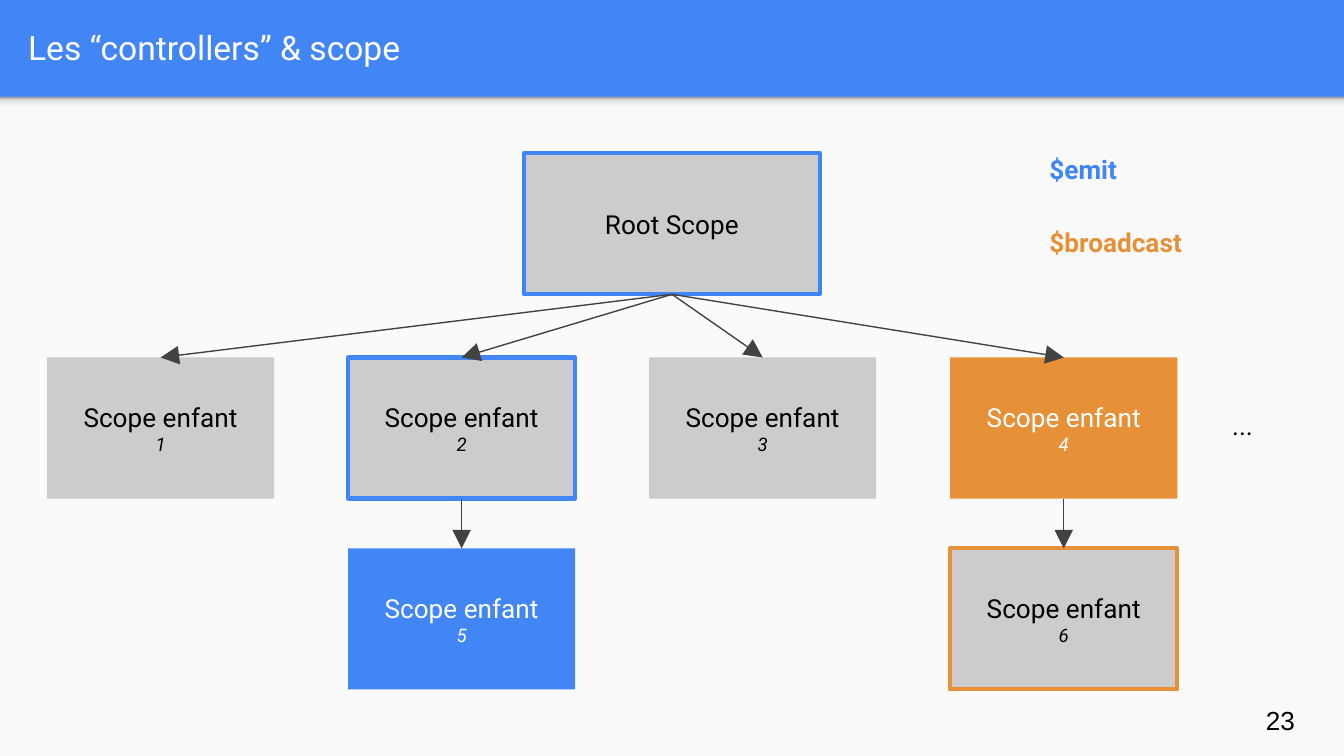
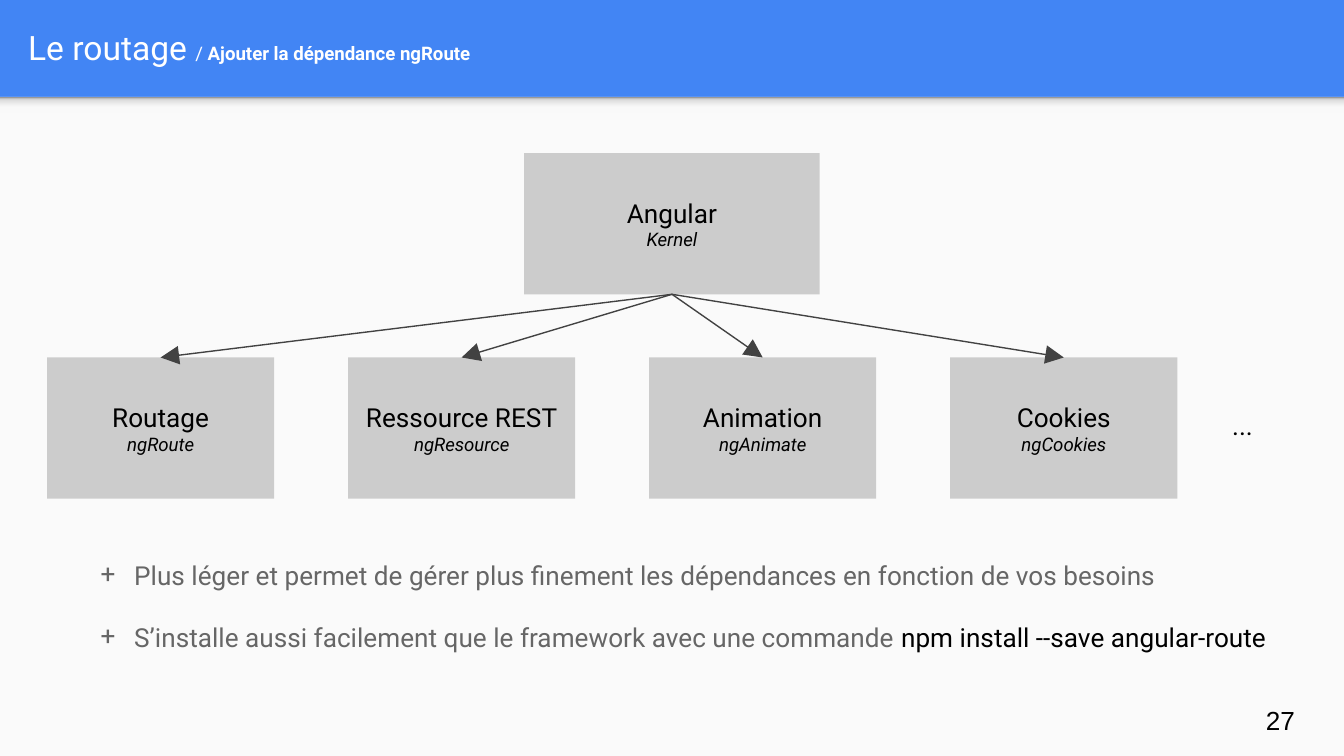
from collections import namedtuple
from copy import deepcopy
from dataclasses import dataclass

from lxml.etree import SubElement
from pptx import Presentation
from pptx.dml.color import RGBColor
from pptx.enum.shapes import MSO_CONNECTOR, MSO_SHAPE
from pptx.enum.text import MSO_ANCHOR, PP_ALIGN
from pptx.oxml.ns import qn
from pptx.util import Inches, Pt


@dataclass(frozen=True)
class Theme:
    blue: str = "4285F4"
    orange: str = "E69138"
    grey: str = "CCCCCC"
    paper: str = "FAFAFA"
    white: str = "FFFFFF"
    black: str = "000000"
    arrow: str = "424242"
    body: str = "666666"
    shade: tuple = ((0, "F9F9F9"), (0.36, "F9F9F9"), (0.8, "DEDEDE"), (1, "999999"))
    font: str = "Roboto"
    plain: str = "Arial"
    head: int = 18
    text: int = 14
    small: int = 10


T = Theme()
Box = namedtuple("Box", "x y w h")
Node = namedtuple("Node", "name note fill edge ink", defaults=("", T.grey, None, T.black))

# Slide regions, on a 16:9 page
WIDE = 10
HIGH = WIDE * 9 / 16
BAND = 0.72
PANEL = Box(0, BAND, WIDE, HIGH - BAND)
SHADE = Box(0, BAND, WIDE, 0.12)
TITLE = Box(0.11, 0.02, 9.65, 0.66)
NUMBER = Box(9.32, 5.14, 0.6, 0.43)
TREE = Box(0.35, 1.14, 9.3, 4)
KEY = Box(7.71, 0.99, 2.12, 1.08)
NOTES = Box(0.4, 4.06, 9.52, 0.91)

# Tree grid, measured from the corner of its box
STEP = 2.24
ROWS = (0, 1.52, 2.94)
CELL_W, CELL_H, ROOT_W, ROOT_X = 1.69, 1.05, 2.2, 3.55


def rgb(code):
    return RGBColor.from_string(code)


def inch(box):
    return [Inches(v) for v in box]


def style(font, size=None, ink=None, face=None, bold=None, italic=None):
    if size:
        font.size = Pt(size)
    if ink:
        font.color.rgb = rgb(ink)
    if face:
        font.name = face
    if bold is not None:
        font.bold = bold
    if italic is not None:
        font.italic = italic


def setup(frame, anchor=MSO_ANCHOR.MIDDLE):
    frame.word_wrap = True
    frame.vertical_anchor = anchor
    frame.margin_left = frame.margin_right = Inches(0.1)
    frame.margin_top = frame.margin_bottom = Inches(0.1)


def write(para, text, align=PP_ALIGN.LEFT, **look):
    """Fill one paragraph and set its shared font."""
    para.alignment = align
    para.add_run().text = text
    style(para.font, **{"size": T.text, "ink": T.black, "face": T.font, **look})


def label(slide, box, text, **look):
    frame = slide.shapes.add_textbox(*inch(box)).text_frame
    setup(frame)
    write(frame.paragraphs[0], text, **look)


def block(slide, box, fill=None, edge=None):
    shape = slide.shapes.add_shape(MSO_SHAPE.RECTANGLE, *inch(box))
    shape.shadow.inherit = False
    if fill:
        shape.fill.solid()
        shape.fill.fore_color.rgb = rgb(fill)
    if edge:
        shape.line.color.rgb = rgb(edge)
        shape.line.width = Pt(2.25)
    else:
        shape.line.fill.background()
    return shape


def shade(slide, box):
    """Soft shadow under the title band, dark at its top."""
    shape = block(slide, box)
    fill = shape.fill
    fill.gradient()
    fill.gradient_angle = 90
    stops = shape.element.find(".//" + qn("a:gsLst"))
    while len(stops) < len(T.shade):
        stops.append(deepcopy(stops[0]))
    for stop, (place, code) in zip(fill.gradient_stops, T.shade):
        stop.position = place
        stop.color.rgb = rgb(code)


def page(deck, number, title, topic=None):
    """Title band, paper and page number shared by all slides."""
    slide = deck.slides.add_slide(deck.slide_layouts[5])
    block(slide, PANEL, T.paper)
    shade(slide, SHADE)
    label(slide, NUMBER, number, face=T.plain)

    head = slide.shapes.title
    head.left, head.top, head.width, head.height = inch(TITLE)
    setup(head.text_frame)
    para = head.text_frame.paragraphs[0]
    write(para, title, size=T.head, ink=T.white)
    if topic:
        for text, bold in (("/ ", False), (topic, True)):
            run = para.add_run()
            run.text = text
            style(run.font, size=T.small, bold=bold)
    return slide


def card(slide, box, node):
    shape = block(slide, box, node.fill, node.edge)
    frame = shape.text_frame
    setup(frame)
    write(frame.paragraphs[0], node.name, PP_ALIGN.CENTER, ink=node.ink)
    if node.note:
        write(frame.add_paragraph(), node.note, PP_ALIGN.CENTER,
              size=T.small, ink=node.ink, italic=True)
    return shape


def arrow(slide, top, low):
    """Arrow from the bottom of one card to the top of another."""
    line = slide.shapes.add_connector(MSO_CONNECTOR.STRAIGHT, 0, 0, 0, 0)
    line.begin_connect(top, 2)
    line.end_connect(low, 0)
    line.line.color.rgb = rgb(T.arrow)
    line.line.width = Pt(0.75)
    props = line.element.spPr
    SubElement(props.find(qn("a:ln")), qn("a:tailEnd"),
               type="triangle", w="lg", len="lg")
    SubElement(props, qn("a:effectLst"))


def tree(slide, box, root, kids, leaves=None):
    """Root, a row of children, and leaves keyed by child column."""
    def cell(col, row):
        return Box(box.x + col * STEP, box.y + ROWS[row], CELL_W, CELL_H)

    top = card(slide, Box(box.x + ROOT_X, box.y, ROOT_W, CELL_H), root)
    for col, kid in enumerate(kids):
        child = card(slide, cell(col, 1), kid)
        arrow(slide, top, child)
        if leaves and col in leaves:
            arrow(slide, child, card(slide, cell(col, 2), leaves[col]))
    more = Box(box.x + 8.55, box.y + 1.5, 0.69, CELL_H)
    label(slide, more, "...", align=PP_ALIGN.CENTER)


def key(slide, box, items):
    """Colour key, one equal row per item."""
    high = box.h / len(items)
    for row, (text, ink) in enumerate(items):
        label(slide, Box(box.x, box.y + row * high, box.w, high), text,
              ink=ink, bold=True)


def bullet(para):
    props = para._p.get_or_add_pPr()
    props.set("marL", str(Inches(0.5)))
    props.set("indent", str(Inches(-0.25)))
    tint = SubElement(props, qn("a:buClr"))
    SubElement(tint, qn("a:srgbClr"), val=T.body)
    SubElement(props, qn("a:buFont"), typeface=T.font)
    SubElement(props, qn("a:buChar"), char="+")


def notes(slide, box, items):
    """Bulleted lines, each with an optional command in black."""
    frame = slide.shapes.add_textbox(*inch(box)).text_frame
    setup(frame, MSO_ANCHOR.TOP)
    for row, (text, code) in enumerate(items):
        para = frame.add_paragraph() if row else frame.paragraphs[0]
        if row:
            para.space_before = Pt(16.5)
        bullet(para)
        write(para, text, ink=T.body)
        if code:
            run = para.add_run()
            run.text = code
            style(run.font, ink=T.black)


def scopes(deck):
    slide = page(deck, "23", "Les “controllers” & scope")
    name = "Scope enfant"
    kids = [
        Node(name, "1"),
        Node(name, "2", edge=T.blue),
        Node(name, "3"),
        Node(name, "4", T.orange, ink=T.white),
    ]
    leaves = {
        1: Node(name, "5", T.blue, ink=T.white),
        3: Node(name, "6", edge=T.orange),
    }
    tree(slide, TREE, Node("Root Scope", edge=T.blue), kids, leaves)
    key(slide, KEY, [("$emit", T.blue), ("$broadcast", T.orange)])


def routes(deck):
    slide = page(deck, "27", "Le routage ", "Ajouter la dépendance ngRoute")
    kids = [
        Node("Routage", "ngRoute"),
        Node("Ressource REST", "ngResource"),
        Node("Animation", "ngAnimate"),
        Node("Cookies", "ngCookies"),
    ]
    tree(slide, TREE, Node("Angular", "Kernel"), kids)
    notes(slide, NOTES, [
        ("Plus léger et permet de gérer plus finement les dépendances "
         "en fonction de vos besoins", None),
        ("S’installe aussi facilement que le framework avec une commande ",
         "npm install --save angular-route"),
    ])


def main():
    deck = Presentation()
    deck.slide_width, deck.slide_height = Inches(WIDE), Inches(HIGH)
    back = deck.slide_master.background.fill
    back.solid()
    back.fore_color.rgb = rgb(T.blue)
    scopes(deck)
    routes(deck)
    deck.save("out.pptx")


if __name__ == "__main__":
    main()
